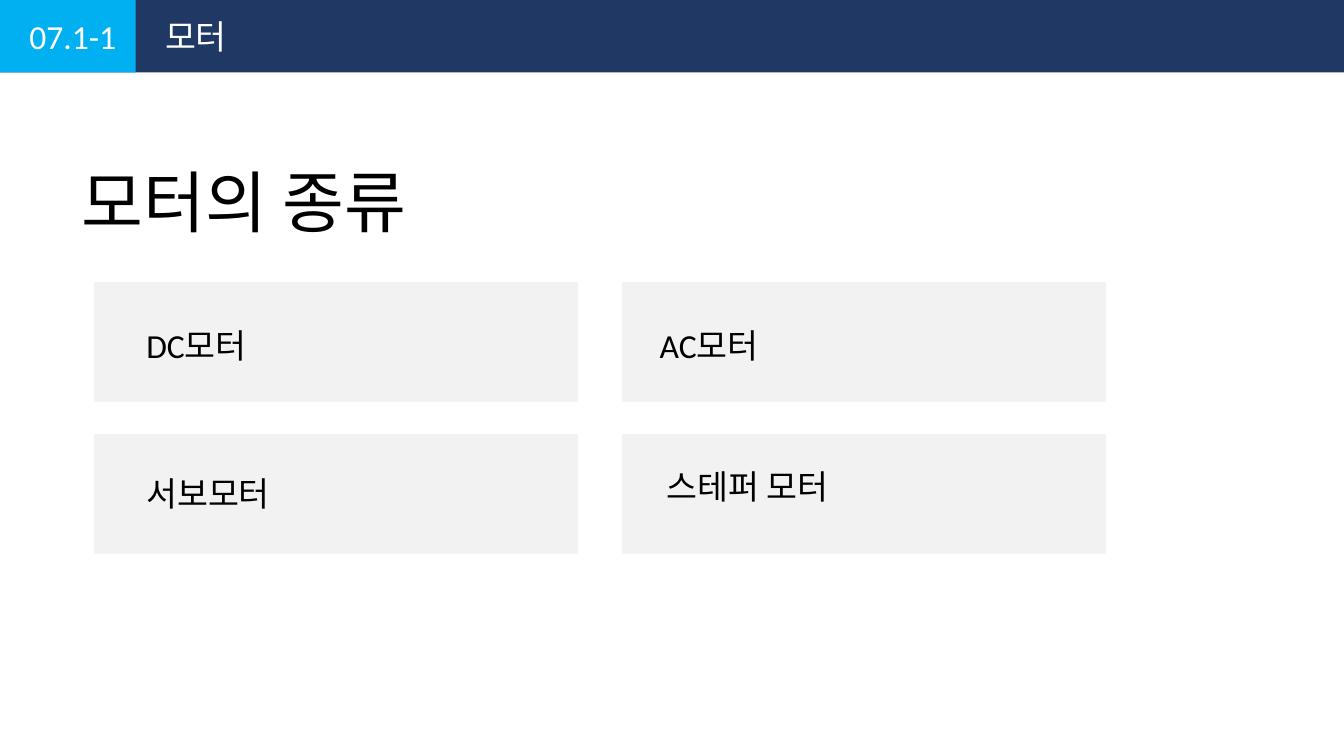
from lxml import etree
from pptx import Presentation
from pptx.dml.color import RGBColor
from pptx.enum.shapes import MSO_SHAPE
from pptx.enum.text import MSO_AUTO_SIZE
from pptx.oxml.ns import qn
from pptx.util import Inches, Pt

RECT = MSO_SHAPE.RECTANGLE
FIT = MSO_AUTO_SIZE.SHAPE_TO_FIT_TEXT

# Content
NUMBER = "07.1-1"
TOPIC = "모터"
TITLE = "모터의 종류"
# Motor name, then the inset of its label in the card and the label width
MOTORS = [
    [("DC모터", 0.29, 0.27, 1.24), ("AC모터", 0.18, 0.27, 1.63)],
    [("서보모터", 0.29, 0.24, 1.63), ("스테퍼 모터", 0.23, 0.19, 1.63)],
]

THEME = {
    "font": "Calibri",
    "navy": "203864", "cyan": "00B0F0", "card": "F2F2F2",
    "light": "FFFFFF", "dark": "000000",
    "body": 18, "title": 36,
}

# Layout, in inches, on a 16:9 slide
WIDE = 10
HIGH = WIDE * 9 / 16
BAR, TAB = 0.54, 1.01
LEFT, TOP = 0.7, 2.1
CARD_W, CARD_H = 3.6, 0.89
GAP_X, GAP_Y = 0.33, 0.24
LINE = 0.4

deck = Presentation()
deck.slide_width, deck.slide_height = Inches(WIDE), Inches(HIGH)
slide = deck.slides.add_slide(deck.slide_layouts[6])


def block(x, y, w, h, color):
    shape = slide.shapes.add_shape(RECT, *map(Inches, (x, y, w, h)))
    shape.shadow.inherit = False
    shape.fill.solid()
    shape.fill.fore_color.rgb = RGBColor.from_string(THEME[color])
    shape.line.fill.background()


def label(words, x, y, w, h=LINE, size="body", color="dark"):
    frame = slide.shapes.add_textbox(*map(Inches, (x, y, w, h))).text_frame
    frame.word_wrap = True
    frame.auto_size = FIT
    run = frame.paragraphs[0].add_run()
    run.text = words
    run.font.size = Pt(THEME[size])
    run.font.color.rgb = RGBColor.from_string(THEME[color])
    run.font.name = THEME["font"]
    # Hangul takes its font from the East Asian slot
    props = run._r.get_or_add_rPr()
    etree.SubElement(props, qn("a:ea"), typeface=THEME["font"])


# Header
block(0, 0, WIDE, BAR, "navy")
block(0, 0, TAB, BAR, "cyan")
label(NUMBER, 0.12, 0.07, 0.9, color="light")
label(TOPIC, 1.13, 0.07, 5.16, color="light")

label(TITLE, 0.51, 1.14, 2.9, 0.71, size="title")

# Motor cards
for row, line in enumerate(MOTORS):
    for col, (name, dx, dy, width) in enumerate(line):
        x = LEFT + col * (CARD_W + GAP_X)
        y = TOP + row * (CARD_H + GAP_Y)
        block(x, y, CARD_W, CARD_H, "card")
        label(name, x + dx, y + dy, width)

deck.save("out.pptx")
